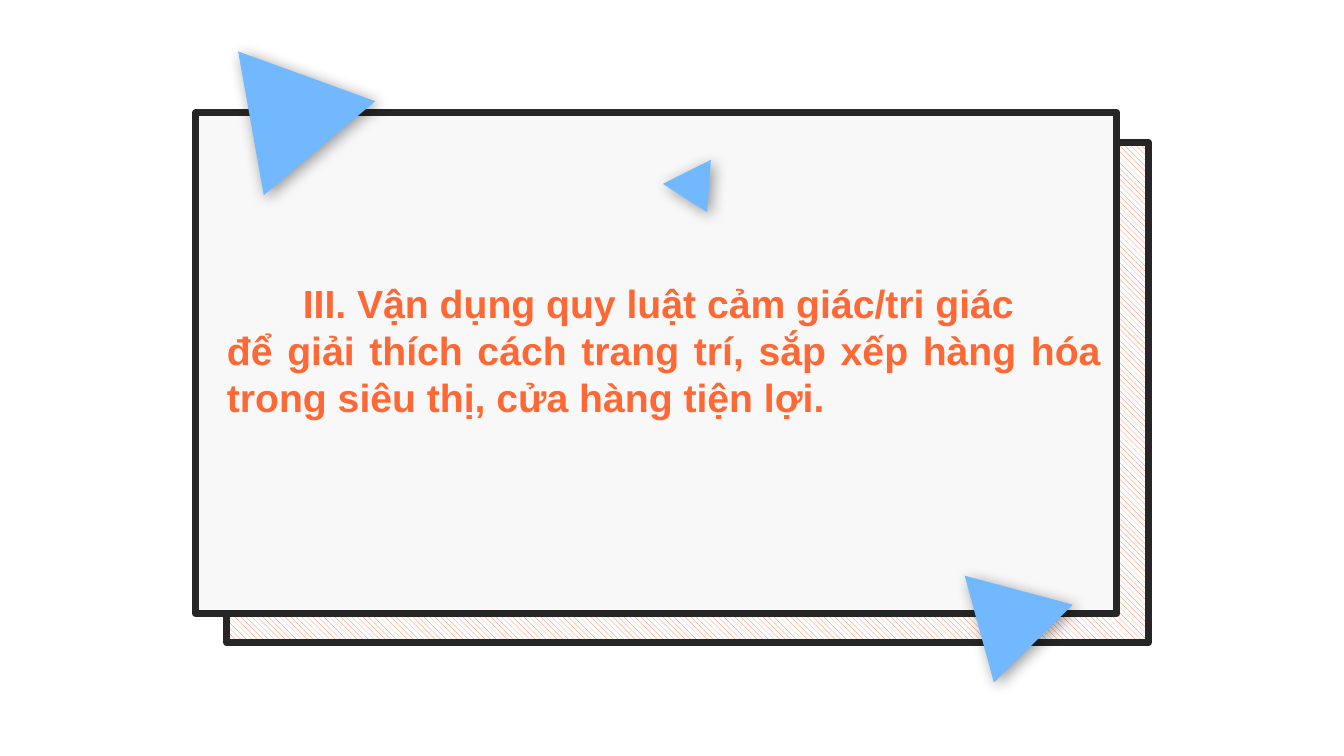
from lxml.etree import SubElement
from pptx import Presentation
from pptx.dml.color import RGBColor
from pptx.enum.dml import MSO_PATTERN
from pptx.enum.shapes import MSO_SHAPE
from pptx.enum.text import MSO_ANCHOR, PP_ALIGN
from pptx.oxml.ns import qn
from pptx.util import Cm, Pt

HUES = {"ink": "262626", "card": "F8F8F8", "paper": "FFFFFF",
        "orange": "FE6835", "blue": "72B8FF", "shade": "000000"}
TITLE = [
    ("III. Vận dụng quy luật cảm giác/tri giác ", PP_ALIGN.CENTER),
    ("để giải thích cách trang trí, sắp xếp hàng hóa trong siêu thị, "
     "cửa hàng tiện lợi.", PP_ALIGN.JUSTIFY),
]
WEDGES = [
    (1.12, -1.6, 3.68, 3.18, 79.9),
    (11.96, 1.43, 1.35, 1.14, 153.4),
    (19.02, 11.99, 2.82, 2.41, 195),
]


def hue(name):
    return RGBColor.from_string(HUES[name])


def add_shape(slide, kind, box):
    shape = slide.shapes.add_shape(kind, *map(Cm, box))
    shape.shadow.inherit = False
    return shape


def add_text(para, text, size=28, font="Arial", color="orange", bold=True,
             align=PP_ALIGN.LEFT):
    para.alignment = align
    run = para.add_run()
    run.text = text
    run.font.size = Pt(size)
    run.font.name = font
    run.font.bold = bold
    run.font.color.rgb = hue(color)


def add_cards(slide, box):
    left, top, width, height = box
    back = add_shape(slide, MSO_SHAPE.RECTANGLE,
                     (left + 0.79, top + 0.74, width, height))
    back.fill.patterned()
    back.fill.pattern = MSO_PATTERN.WIDE_DOWNWARD_DIAGONAL
    back.fill.fore_color.rgb = hue("orange")
    back.fill.back_color.rgb = hue("paper")
    front = add_shape(slide, MSO_SHAPE.RECTANGLE, box)
    front.fill.solid()
    front.fill.fore_color.rgb = hue("card")
    for card in (back, front):
        card.line.color.rgb = hue("ink")
        card.line.width = Pt(5)


def add_shade(shape):
    effects = shape._element.spPr.find(qn("a:effectLst"))
    shade = SubElement(effects, qn("a:outerShdw"), blurRad=str(Pt(11)),
                       dist=str(Pt(3)), dir="2700000", algn="tl",
                       rotWithShape="0")
    color = SubElement(shade, qn("a:srgbClr"), val=HUES["shade"])
    SubElement(color, qn("a:alpha"), val="40000")


def add_wedges(slide, box):
    for left, top, width, height, turn in WEDGES:
        wedge = add_shape(slide, MSO_SHAPE.ISOSCELES_TRIANGLE,
                          (box[0] + left, box[1] + top, width, height))
        wedge.rotation = turn
        wedge.fill.solid()
        wedge.fill.fore_color.rgb = hue("blue")
        wedge.line.fill.background()
        add_shade(wedge)


def add_title(slide, box):
    left, top, width, height = box
    area = (left + 0.79, top + 4.2, width - 1.2, 4.78)
    frame = slide.shapes.add_textbox(*map(Cm, area)).text_frame
    frame.word_wrap = True
    frame.vertical_anchor = MSO_ANCHOR.TOP
    frame.margin_left = frame.margin_right = 0
    frame.margin_top = frame.margin_bottom = 0
    for i, (text, align) in enumerate(TITLE):
        para = frame.add_paragraph() if i else frame.paragraphs[0]
        add_text(para, text, align=align)


def main():
    deck = Presentation()
    deck.slide_width, deck.slide_height = Cm(33.87), Cm(19.05)
    slide = deck.slides.add_slide(deck.slide_layouts[6])
    box = (4.93, 2.84, 23.22, 12.62)
    add_cards(slide, box)
    add_wedges(slide, box)
    add_title(slide, box)
    deck.save("out.pptx")


if __name__ == "__main__":
    main()
